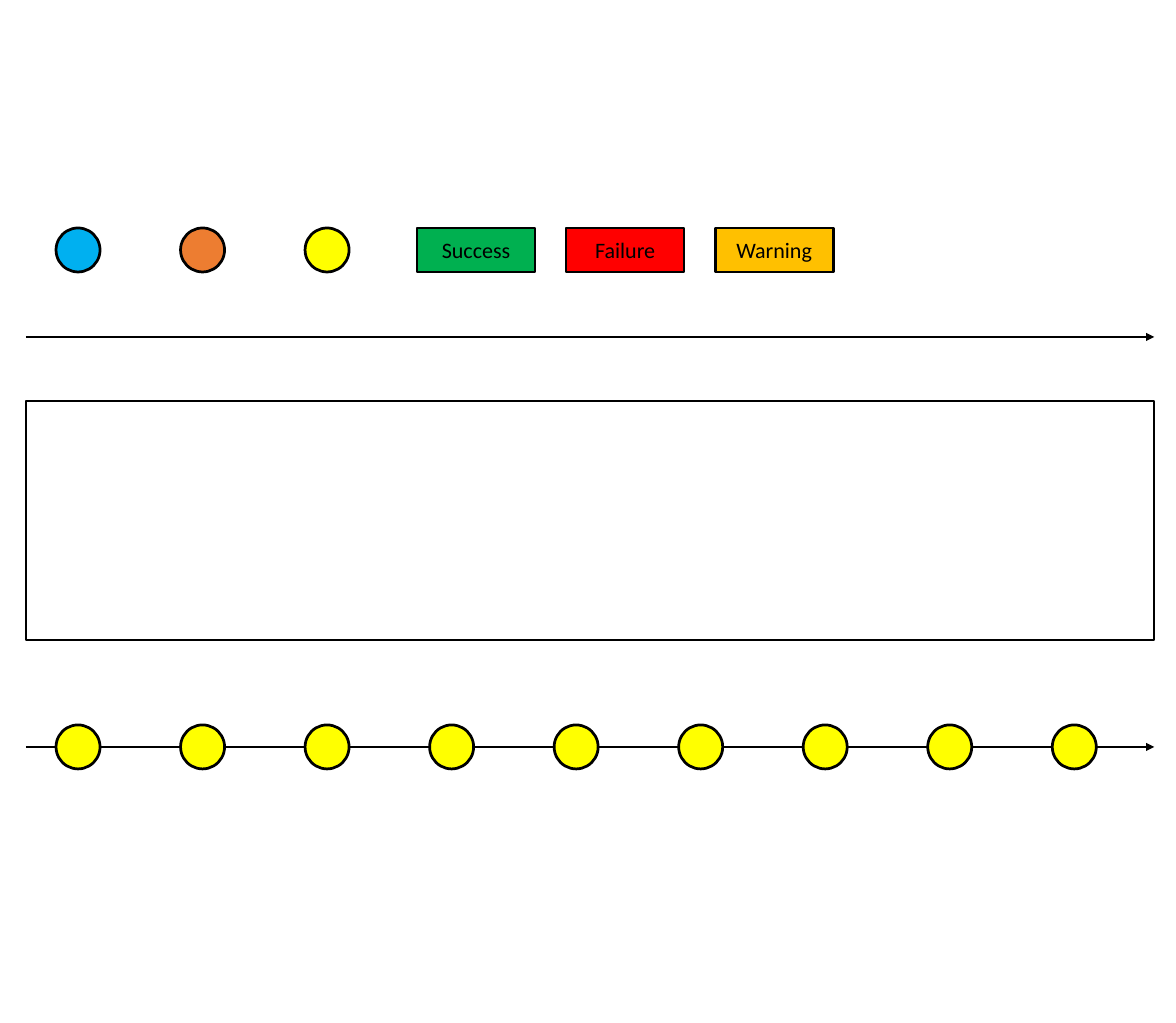
from lxml.etree import SubElement
from pptx import Presentation
from pptx.dml.color import RGBColor
from pptx.enum.shapes import MSO_CONNECTOR, MSO_SHAPE
from pptx.enum.text import MSO_ANCHOR, PP_ALIGN
from pptx.oxml.ns import qn
from pptx.util import Inches, Pt

PIXELS_PER_INCH = 88.2
BLACK, WHITE, YELLOW = "000000", "FFFFFF", "FFFF00"
MARKER_SIZE = 44
STATUS_WIDTH = 118


def emu(pixels):
    return Inches(pixels / PIXELS_PER_INCH)


def color(value):
    return RGBColor.from_string(value)


def spread(left, width, size, count):
    pitch = (width - size) / (count - 1)
    return [left + index * pitch for index in range(count)]


def add_box(page, kind, left, top, width, height, fill, weight=2.25):
    box = page.shapes.add_shape(kind, emu(left), emu(top), emu(width), emu(height))
    box.shadow.inherit = False
    box.fill.solid()
    box.fill.fore_color.rgb = color(fill)
    box.line.color.rgb = color(BLACK)
    box.line.width = Pt(weight)
    return box


def write_text(box, text, size=18, font="Calibri", ink=BLACK, align=PP_ALIGN.CENTER):
    box.text_frame.vertical_anchor = MSO_ANCHOR.MIDDLE
    para = box.text_frame.paragraphs[0]
    para.alignment = align
    span = para.add_run()
    span.text = text
    span.font.size = Pt(size)
    span.font.name = font
    span.font.color.rgb = color(ink)


def add_axis(page, left, middle, width):
    axis = page.shapes.add_connector(
        MSO_CONNECTOR.STRAIGHT, emu(left), emu(middle), emu(left + width), emu(middle))
    axis.line.color.rgb = color(BLACK)
    axis.line.width = Pt(2.25)
    SubElement(axis.line._get_or_add_ln(), qn("a:tailEnd"), type="triangle")
    SubElement(axis._element.spPr, qn("a:effectLst"))


def add_markers(page, left, top, width, fills):
    for x, fill in zip(spread(left, width, MARKER_SIZE, len(fills)), fills):
        add_box(page, MSO_SHAPE.OVAL, x, top, MARKER_SIZE, MARKER_SIZE, fill)


def add_statuses(page, left, top, width, height, statuses):
    lefts = spread(left, width, STATUS_WIDTH, len(statuses))
    for x, (label, fill) in zip(lefts, statuses):
        box = add_box(page, MSO_SHAPE.RECTANGLE, x, top, STATUS_WIDTH, height, fill)
        write_text(box, label)


def add_timeline(page, left, top, width, count):
    add_axis(page, left, top + MARKER_SIZE / 2, width)
    add_markers(page, left + 30, top, width - 88, [YELLOW] * count)


deck = Presentation()
deck.slide_width = Inches(13.33)
deck.slide_height = Inches(11.6)
page = deck.slides.add_slide(deck.slide_layouts[6])

add_markers(page, 56, 228, 293, ["00B0F0", "ED7D31", YELLOW])
add_statuses(page, 417, 228, 416, MARKER_SIZE,
             [("Success", "00B050"), ("Failure", "FF0000"), ("Warning", "FFC000")])
add_axis(page, 26, 337, 1128)
add_box(page, MSO_SHAPE.RECTANGLE, 26, 401, 1128, 239, WHITE, weight=1.5)
add_timeline(page, 26, 725, 1128, 9)

deck.save("out.pptx")
